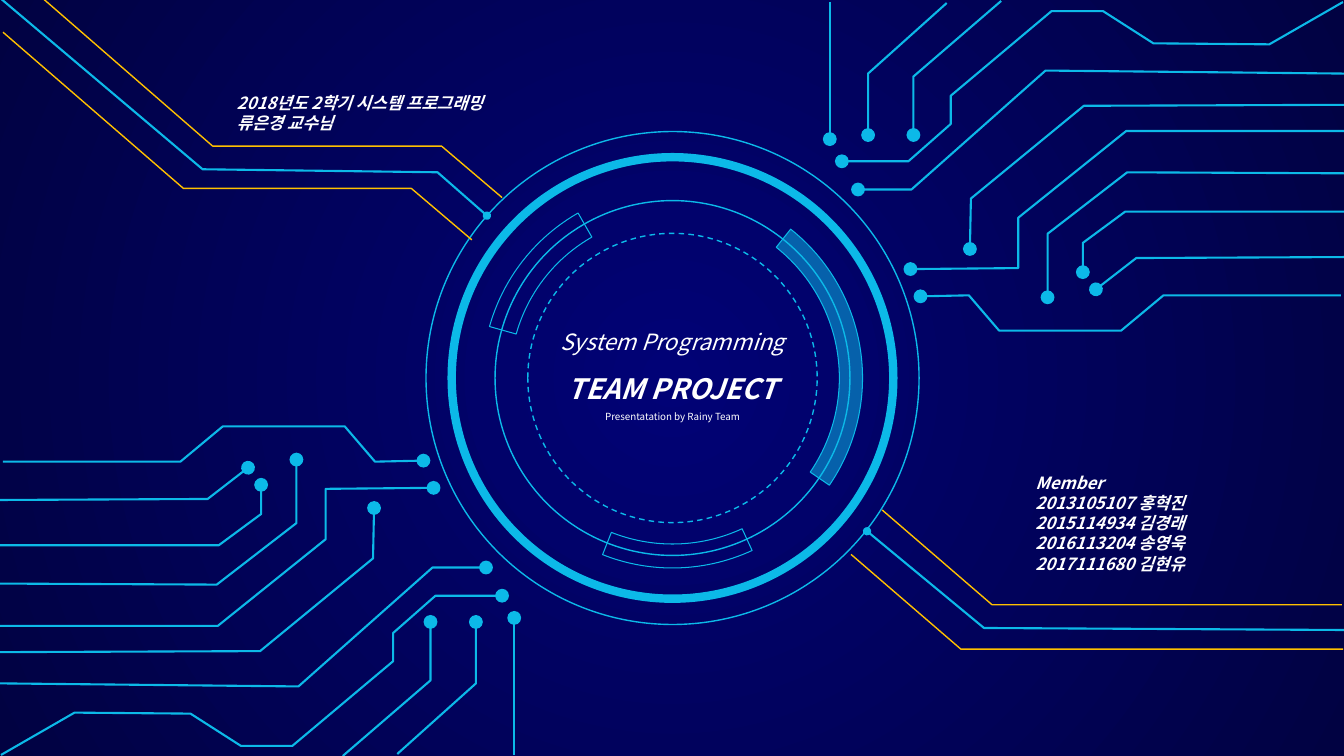
from pptx import Presentation
from pptx.dml.color import RGBColor
from pptx.enum.dml import MSO_LINE
from pptx.enum.shapes import MSO_CONNECTOR, MSO_SHAPE
from pptx.enum.text import MSO_ANCHOR, MSO_AUTO_SIZE, PP_ALIGN
from pptx.oxml.ns import qn
from pptx.util import Pt
from lxml.etree import SubElement

PX = 9144
WIDTH, HEIGHT = 1333, 750
MIRROR_X, MIRROR_Y = 1333, 751
CENTER_X, CENTER_Y = 667, 375
FONT = "Noto Sans CJK KR"
CYAN, AMBER, WHITE = "0CB9E8", "FFC000", "FFFFFF"
BACKGROUND = ["010276", "010242"]

RINGS = [(438, 6, None), (352, 1, None), (287, 1, MSO_LINE.DASH), (489, 1, None)]
ARC_SIZE = 377
ARCS = [
    ((185.071, 20.618, 0.061), 52),
    ((117.422, 144.138, 0.073), None),
    ((39.135, 66.946, 0.063), None),
]

CIRCUITS = [
    [(-3, 647), (258, 646), (370, 554), (371, 504)],
    [(-1, 621), (216, 621), (323, 535), (323, 485), (430, 484)],
    [(3, 458), (179, 458), (221, 423), (342, 423), (372, 458), (420, 457)],
    [(-1, 496), (206, 495), (246, 464)],
    [(-1, 541), (217, 541), (259, 510), (259, 481)],
    [(0, 579), (215, 580), (294, 519), (294, 456)],
    [(0, 678), (296, 681), (429, 563), (482, 563)],
    [(510, 749), (510, 613)],
    [(1, 749), (74, 707), (189, 708), (239, 740), (290, 740), (390, 656),
     (390, 628), (432, 591), (498, 591)],
    [(340, 750), (427, 675), (427, 617)],
    [(394, 748), (472, 678), (472, 617)],
]
RAILS = [
    [(42, -2), (211, 145), (438, 145), (498, 196)],
    [(3, 32), (182, 187), (408, 187), (468, 238)],
    [(875, 506), (984, 600), (1331, 600)],
    [(844, 550), (953, 644), (1332, 644)],
]
FEEDS = [
    [(0, -2), (201, 168), (434, 171), (483, 214)],
    [(1333, 625), (976, 623), (860, 527)],
]

TITLE_BOX = (532, 307, 270, 119)
TITLE = [
    ("System Programming", {"size": Pt(16), "bold": False, "italic": True}),
    ("TEAM PROJECT", {"size": Pt(20), "bold": True, "italic": True}),
    ("Presentatation by Rainy Team", {"size": Pt(7), "bold": False, "italic": False}),
]
NOTE_FORMAT = {"size": Pt(12), "bold": True, "italic": True}
NOTES = [
    ((1017, 464, 227, 111), ["Member", "2013105107 홍혁진", "2015114934 김경래",
                             "2016113204 송영욱", "2017111680 김현유"]),
    ((225, 87, 323, 50), ["2018년도 2학기 시스템 프로그래밍", "류은경 교수님"]),
]


def color(value):
    return RGBColor.from_string(value)


def emu(values):
    return [value * PX for value in values]


def apply(target, values):
    for name, value in values.items():
        setattr(target, name, value)


def stroke(shape, value, width, dash=None):
    shape.line.color.rgb = color(value)
    shape.line.width = Pt(width)
    if dash:
        shape.line.dash_style = dash


def centered(page, kind, size):
    box = (CENTER_X - size / 2, CENTER_Y - size / 2, size, size)
    shape = page.shapes.add_shape(kind, *[int(value) for value in emu(box)])
    shape.shadow.inherit = False
    shape.fill.background()
    return shape


def trace(page, points, value, width, dot=None):
    if len(points) == 2:
        shape = page.shapes.add_connector(
            MSO_CONNECTOR.STRAIGHT, *emu(points[0]), *emu(points[1]))
    else:
        builder = page.shapes.build_freeform(*points[0], scale=PX)
        builder.add_line_segments(points[1:], close=False)
        shape = builder.convert_to_shape()
        shape.fill.background()
    stroke(shape, value, width)
    if dot:
        SubElement(shape.line._get_or_add_ln(), qn("a:tailEnd"), type="oval", w=dot, len=dot)
    if len(points) == 2:
        SubElement(shape._element.spPr, qn("a:effectLst"))
    else:
        shape.shadow.inherit = False


def write(box, place, lines, paragraph_format):
    apply(box, dict(zip(("left", "top", "width", "height"), emu(place))))
    frame = box.text_frame
    apply(frame, {"word_wrap": True, "auto_size": MSO_AUTO_SIZE.SHAPE_TO_FIT_TEXT,
                  "vertical_anchor": MSO_ANCHOR.TOP})
    for index, (text, font_format) in enumerate(lines):
        para = frame.add_paragraph() if index else frame.paragraphs[0]
        apply(para, paragraph_format)
        span = para.add_run()
        span.text = text
        apply(span.font, {"name": FONT, **font_format})
        span.font.color.rgb = color(WHITE)
        SubElement(span.font._element, qn("a:ea"), typeface=FONT)


def paint_background(page):
    fill = page.background.fill
    fill.gradient()
    for stop, value in zip(fill.gradient_stops, BACKGROUND):
        stop.color.rgb = color(value)
    gradient = page._element.find(".//" + qn("a:gradFill"))
    gradient.remove(gradient.find(qn("a:lin")))
    circle = SubElement(gradient, qn("a:path"), path="circle")
    SubElement(circle, qn("a:fillToRect"), l="50000", t="50000", r="50000", b="50000")


def main():
    deck = Presentation()
    deck.slide_width, deck.slide_height = emu((WIDTH, HEIGHT))
    page = deck.slides.add_slide(deck.slide_layouts[5])
    paint_background(page)

    for size, width, dash in RINGS:
        stroke(centered(page, MSO_SHAPE.OVAL, size), CYAN, width, dash)
    for angles, opacity in ARCS:
        arc = centered(page, MSO_SHAPE.BLOCK_ARC, ARC_SIZE)
        for index, angle in enumerate(angles):
            arc.adjustments[index] = angle
        if opacity:
            arc.fill.solid()
            arc.fill.fore_color.rgb = color(CYAN)
            tint = arc._element.spPr.find(qn("a:solidFill")).find(qn("a:srgbClr"))
            SubElement(tint, qn("a:alpha"), val=str(opacity * 1000))
        stroke(arc, CYAN, 0.75)

    for points in CIRCUITS:
        trace(page, points, CYAN, 1.5, "lg")
        trace(page, [(MIRROR_X - x, MIRROR_Y - y) for x, y in points], CYAN, 1.5, "lg")
    for points in RAILS:
        trace(page, points, AMBER, 1)
    for points in FEEDS:
        trace(page, points, CYAN, 1.5, "med")

    write(page.shapes.title, TITLE_BOX, TITLE,
          {"alignment": PP_ALIGN.CENTER, "line_spacing": 1.5})
    for place, lines in NOTES:
        write(page.shapes.add_textbox(0, 0, 0, 0), place,
              [(line, NOTE_FORMAT) for line in lines], {"alignment": PP_ALIGN.LEFT})
    deck.save("out.pptx")


if __name__ == "__main__":
    main()
